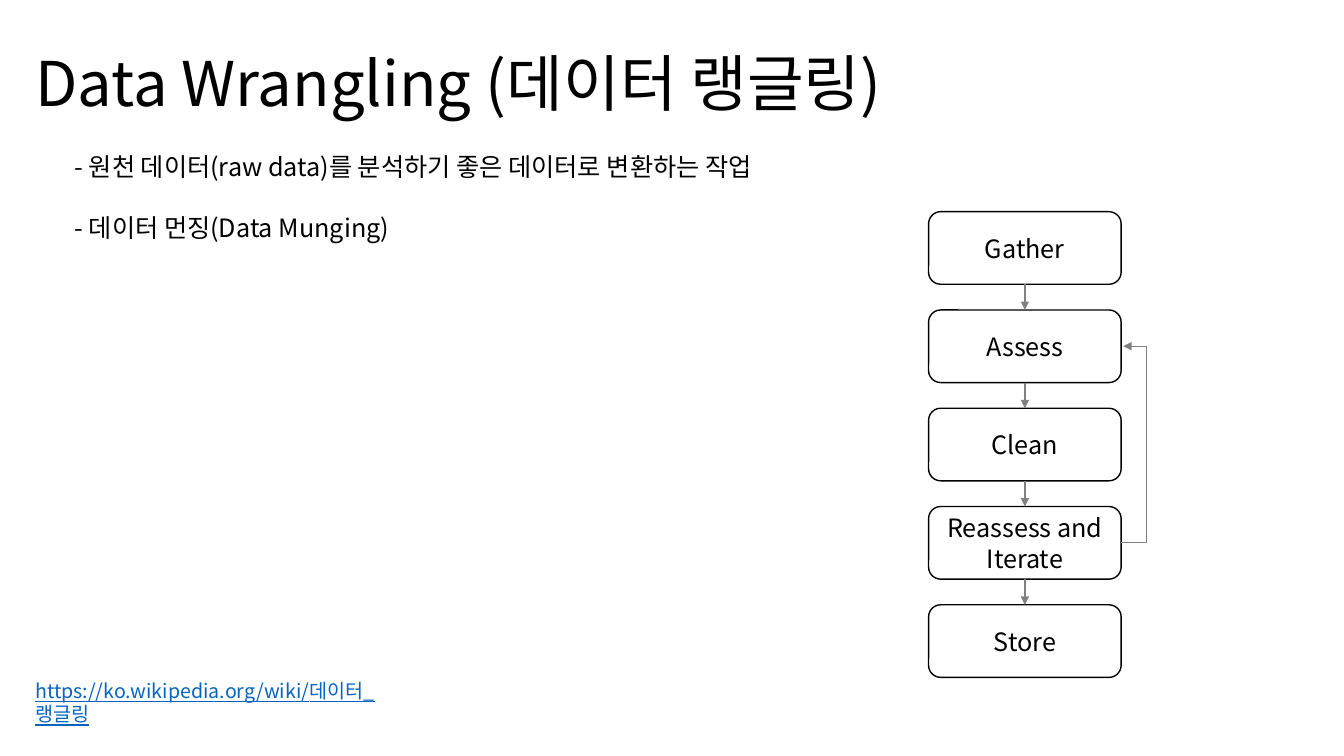
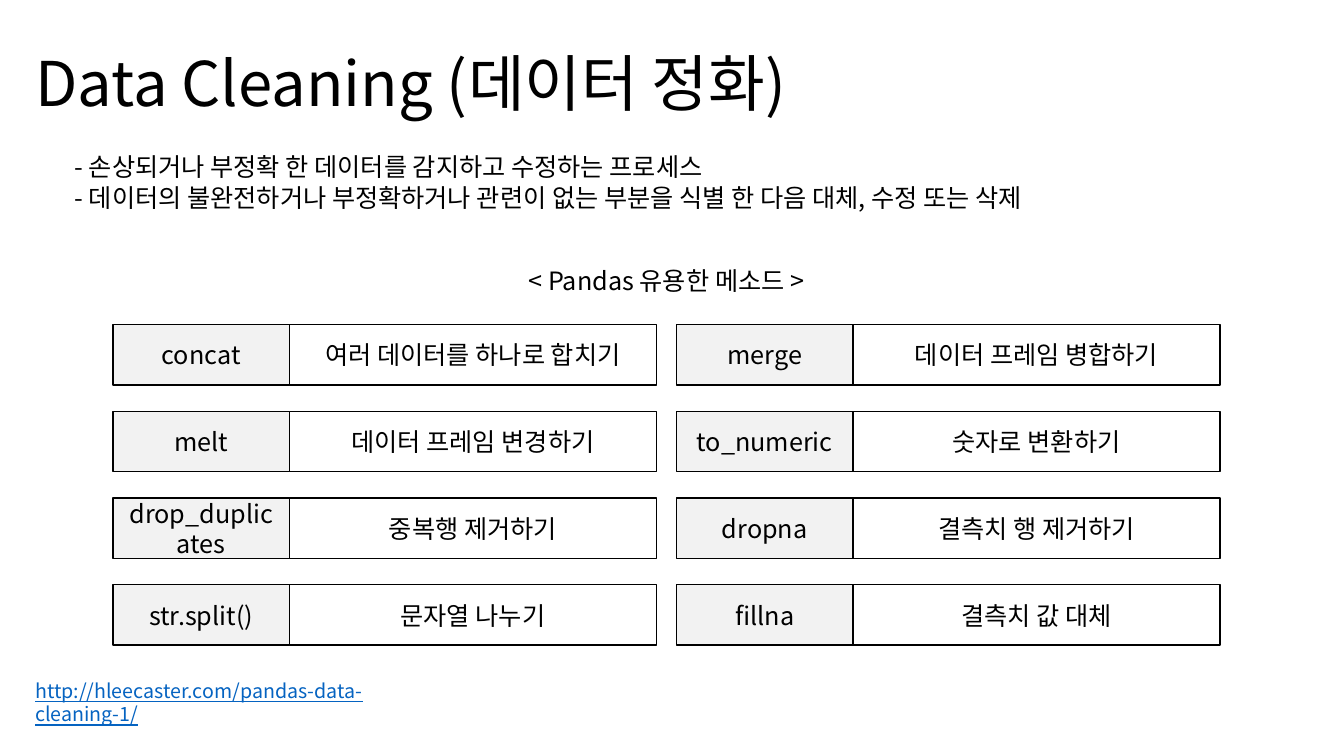
"""Build two slides on data wrangling and data cleaning."""
import dataclasses

import lxml.etree
import pptx
import pptx.dml.color
import pptx.enum.shapes
import pptx.enum.text
import pptx.oxml.ns
import pptx.util

Inches = pptx.util.Inches
Pt = pptx.util.Pt
RGB = pptx.dml.color.RGBColor.from_string
Shape = pptx.enum.shapes.MSO_SHAPE
Connector = pptx.enum.shapes.MSO_CONNECTOR
Anchor = pptx.enum.text.MSO_ANCHOR
Align = pptx.enum.text.PP_ALIGN
qn = pptx.oxml.ns.qn


@dataclasses.dataclass(frozen=True)
class Theme:
    font: str = "Noto Sans CJK KR"
    ink: str = "000000"
    paper: str = "FFFFFF"
    label: str = "F2F2F2"
    arrow: str = "808080"
    source: str = "0563C1"
    title_size: int = 44
    body_size: int = 18
    source_size: int = 14
    line_width: int = 1
    leading: float = 1.21


theme = Theme()


def add_text(s, text, at, size=theme.body_size, color=theme.ink, fill=None,
             shape=Shape.RECTANGLE, align=Align.LEFT, anchor=Anchor.TOP,
             underline=None, gap=0):
    """Add text in a plain box, or in an outlined shape when a fill is given."""
    box = [Inches(v) for v in at]
    if fill:
        sp = s.shapes.add_shape(shape, *box)
        sp.shadow.inherit = False
        sp.fill.solid()
        sp.fill.fore_color.rgb = RGB(fill)
        sp.line.color.rgb = RGB(theme.ink)
        sp.line.width = Pt(theme.line_width)
    else:
        sp = s.shapes.add_textbox(*box)
    tf = sp.text_frame
    tf.word_wrap = True
    tf.vertical_anchor = anchor
    tf.text = text
    for i, p in enumerate(tf.paragraphs):
        p.alignment = align
        p.line_spacing = Pt(size * theme.leading)
        if i:
            p.space_before = Pt(gap)
        for r in p.runs:
            r.font.size = Pt(size)
            r.font.color.rgb = RGB(color)
            r.font.underline = underline
            r.font.name = theme.font
            ea = lxml.etree.SubElement(r.font._element, qn("a:ea"))
            ea.set("typeface", theme.font)
    return sp


def add_arrow(s, kind, start, end):
    """Add a connector with an arrowhead at its end."""
    cx = s.shapes.add_connector(kind, *[Inches(v) for v in (*start, *end)])
    cx.line.color.rgb = RGB(theme.arrow)
    cx.line.width = Pt(theme.line_width)
    lxml.etree.SubElement(cx.line._get_or_add_ln(), qn("a:tailEnd"), type="triangle")
    lxml.etree.SubElement(cx._element.spPr, qn("a:effectLst"))
    return cx


prs = pptx.Presentation()
prs.slide_width = Inches(13.33)
prs.slide_height = Inches(7.5)

pages = [
    ("Data Wrangling (데이터 랭글링)",
     "- 원천 데이터(raw data)를 분석하기 좋은 데이터로 변환하는 작업\n"
     "- 데이터 먼징(Data Munging)",
     1.01, 22, "https://ko.wikipedia.org/wiki/데이터_랭글링", 3.69),
    ("Data Cleaning (데이터 정화)",
     "- 손상되거나 부정확 한 데이터를 감지하고 수정하는 프로세스\n"
     "- 데이터의 불완전하거나 부정확하거나 관련이 없는 부분을 식별 한 다음 대체, 수정 또는 삭제",
     0.71, 0, "http://hleecaster.com/pandas-data-cleaning-1/", 4.05),
]
slides = []
for title, body, body_height, gap, source, source_width in pages:
    s = prs.slides.add_slide(prs.slide_layouts[6])
    add_text(s, title, (0.25, 0.39, 12.72, 0.84), size=theme.title_size)
    add_text(s, body, (0.64, 1.45, 11.74, body_height), gap=gap)
    add_text(s, source, (0.25, 6.91, source_width, 0.34), size=theme.source_size,
             color=theme.source, underline=True, anchor=Anchor.BOTTOM)
    slides.append(s)
wrangling, cleaning = slides

steps = ["Gather", "Assess", "Clean", "Reassess and Iterate", "Store"]
left, width, height = 9.21, 1.91, 0.72
first, last = 2.1, 6.0
pitch = (last - first) / (len(steps) - 1)
tops = [first + i * pitch for i in range(len(steps))]
boxes = [add_text(wrangling, step, (left, top, width, height), fill=theme.paper,
                  shape=Shape.ROUNDED_RECTANGLE, align=Align.CENTER,
                  anchor=Anchor.MIDDLE)
         for step, top in zip(steps, tops)]

center, right = left + width / 2, left + width
for i in range(len(steps) - 1):
    cx = add_arrow(wrangling, Connector.STRAIGHT,
                   (center, tops[i] + height), (center, tops[i + 1]))
    cx.begin_connect(boxes[i], 2)
    cx.end_connect(boxes[i + 1], 0)

tip, reach = 0.02, 0.25
loop = add_arrow(wrangling, Connector.ELBOW,
                 (right, tops[3] + height / 2), (right + tip, tops[1] + height / 2))
bend = loop._element.spPr.find(qn("a:prstGeom")).find(qn("a:avLst"))
lxml.etree.SubElement(bend, qn("a:gd"), name="adj1",
                      fmla=f"val {round(reach / tip * 100000)}")

methods = [
    [("concat", "여러 데이터를 하나로 합치기"),
     ("melt", "데이터 프레임 변경하기"),
     ("drop_duplicates", "중복행 제거하기"),
     ("str.split()", "문자열 나누기")],
    [("merge", "데이터 프레임 병합하기"),
     ("to_numeric", "숫자로 변환하기"),
     ("dropna", "결측치 행 제거하기"),
     ("fillna", "결측치 값 대체")],
]
name_width, use_width, row_height = 1.75, 3.64, 0.6
for col, column in enumerate(methods):
    x = 1.12 + col * 5.59
    for row, (name, use) in enumerate(column):
        y = 3.22 + row * 0.86
        add_text(cleaning, use, (x + name_width, y, use_width, row_height),
                 fill=theme.paper, align=Align.CENTER, anchor=Anchor.MIDDLE)
        add_text(cleaning, name, (x, y, name_width, row_height),
                 fill=theme.label, align=Align.CENTER, anchor=Anchor.MIDDLE)
add_text(cleaning, "< Pandas 유용한 메소드 >", (3.93, 2.58, 5.36, 0.4), align=Align.CENTER)

prs.save("out.pptx")
